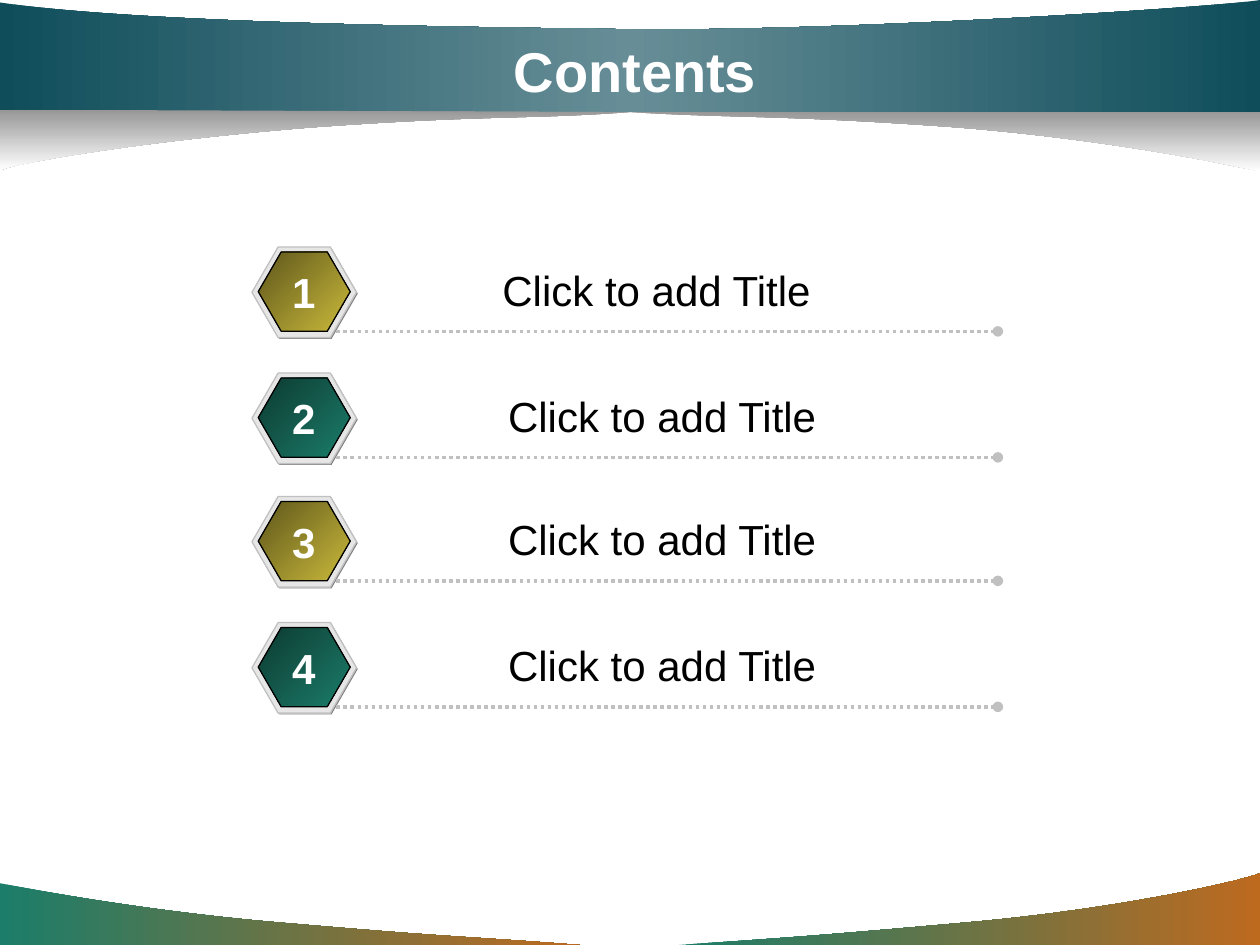
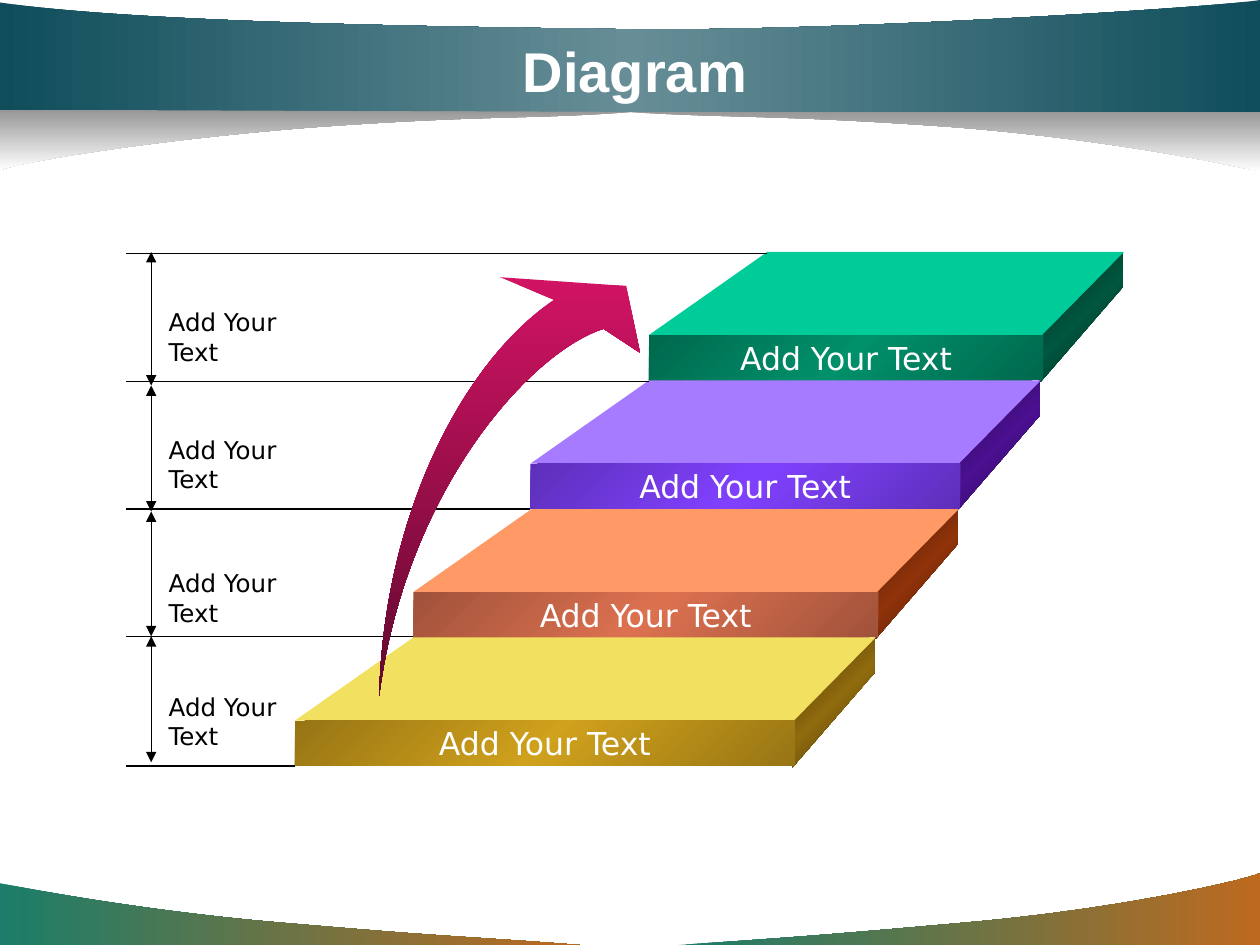
from pptx import Presentation
from pptx import util as u
from pptx.dml.color import RGBColor
from pptx.enum import dml, shapes, text
from pptx.oxml import ns
from lxml import etree


class Theme:
    # Colours: a tuple is a gradient with evenly spaced stops
    white, black = "FFFFFF", "000000"
    band = ("0F4D5B", "678E97", "0F4D5B")
    band_shadow = ("969696", "FFFFFF")
    footer = ("1B7D6A", "BD6A1F")
    badge_shadow, badge_rim, rule = "808080", "E6E6E6", "C0C0C0"
    badges = (("5E561B", "CBBA3B"), ("0D3A31", "1B7D6A"))
    arrow = ("D11364", "61092E")
    # Side edge, side middle, top, face edge, face middle
    steps = (
        ("00281D", "00563F", "00CC99", "00684D", "00906A"),
        ("230744", "4B1092", "A77BFF", "5D2FB9", "8041FF"),
        ("431805", "90330A", "FF9966", "A0523A", "DC7150"),
        ("433206", "906B0E", "F2E160", "977514", "D0A11C"),
    )
    # Type
    font, diagram_font = "Arial", "DejaVu Sans"
    title_size, item_size, step_size, label_size = 32, 24, 18, 14


def paint(sp, fill, angle=0, line=None):
    """Fill a shape with a colour or a gradient whose angle runs clockwise."""
    sp.shadow.inherit = False
    if isinstance(fill, str):
        sp.fill.solid()
        sp.fill.fore_color.rgb = RGBColor.from_string(fill)
    else:
        sp.fill.gradient()
        sp.fill.gradient_angle = (360 - angle) % 360
        stops = sp._element.spPr.find(".//" + ns.qn("a:gsLst"))
        for old in list(stops):
            stops.remove(old)
        for i, colour in enumerate(fill):
            position = str(100000 * i // (len(fill) - 1))
            stop = etree.SubElement(stops, ns.qn("a:gs"), pos=position)
            etree.SubElement(stop, ns.qn("a:srgbClr"), val=colour)
    if line:
        sp.line.color.rgb = RGBColor.from_string(line)
        sp.line.width = u.Pt(0.75)
    else:
        sp.line.fill.background()


def add_preset(s, kind, x, y, w, h, fill, angle=0, line=None):
    sp = s.shapes.add_shape(kind, *map(u.Inches, (x, y, w, h)))
    paint(sp, fill, angle, line)
    return sp


def add_outline(s, x, y, parts, fill, angle=0):
    """Draw a closed outline; a pair is a corner, six numbers are a Bezier curve."""
    points = [(u.Inches(x + part[i]), u.Inches(y + part[i + 1]))
              for part in parts for i in range(0, len(part), 2)]
    builder = s.shapes.build_freeform(*points[0])
    builder.add_line_segments(points[1:], close=True)
    sp = builder.convert_to_shape()
    # Merge the three segments of each curve into one Bezier segment
    segments = iter(sp._element.findall(".//" + ns.qn("a:lnTo")))
    for part in parts[1:]:
        first = next(segments)
        if len(part) == 6:
            curve = etree.Element(ns.qn("a:cubicBezTo"))
            first.addprevious(curve)
            for segment in (first, next(segments), next(segments)):
                curve.append(segment[0])
                segment.getparent().remove(segment)
    paint(sp, fill, angle)


def add_line(s, x1, y1, x2, y2, colour, width=0.75, dash=None, head=None, tail=None):
    c = s.shapes.add_connector(shapes.MSO_CONNECTOR.STRAIGHT,
                               *map(u.Inches, (x1, y1, x2, y2)))
    c.line.color.rgb = RGBColor.from_string(colour)
    c.line.width = u.Pt(width)
    if dash:
        c.line.dash_style = dash
    for tag, end in (("a:headEnd", head), ("a:tailEnd", tail)):
        if end:
            etree.SubElement(c.line._ln, ns.qn(tag), type=end)
    etree.SubElement(c._element.spPr, ns.qn("a:effectLst"))


def write(sp, words, size, colour, font=Theme.font, bold=False, wrap=True,
          align=text.PP_ALIGN.CENTER, anchor=text.MSO_ANCHOR.MIDDLE):
    tf = sp.text_frame
    tf.text = words
    tf.word_wrap = wrap
    tf.vertical_anchor = anchor
    p = tf.paragraphs[0]
    p.alignment = align
    r = p.runs[0]
    r.font.size, r.font.name, r.font.bold = u.Pt(size), font, bold
    r.font.color.rgb = RGBColor.from_string(colour)


def add_text(s, x, y, w, h, words, size, colour, **style):
    sp = s.shapes.add_textbox(*map(u.Inches, (x, y, w, h)))
    write(sp, words, size, colour, **style)


def add_band(s, x, y):
    # Band with a curved top edge, between two curved shadows
    add_outline(s, x + 5, y + 0.88, [
        (0, 0.01), (0.84, 0.06, 1.2, 0.03, 2.58, 0.13),
        (3.97, 0.24, 4.98, 0.48, 5, 0.48), (5, 0)], Theme.band_shadow, 90)
    add_outline(s, x, y, [
        (0, 0.89), (10, 0.89), (10, 0), (9.64, 0.06, 6.53, 0.26, 4.87, 0.23),
        (3.21, 0.21, 1.01, 0.17, 0, 0.02)], Theme.band)
    add_outline(s, x, y + 0.87, [
        (5, 0.02), (4.16, 0.08, 3.88, 0.04, 2.49, 0.14),
        (1.1, 0.25, 0.11, 0.43, 0, 0.48), (0, 0)], Theme.band_shadow, 90)


def add_footer(s, x, y):
    # Left and right swooshes
    add_outline(s, x, y, [
        (4.6, 0.6), (3.84, 0.54, 3.58, 0.54, 2.32, 0.43),
        (1.06, 0.33, 0.01, 0.11, 0, 0.11), (0, 0.6)], Theme.footer)
    add_outline(s, x + 5.39, y, [
        (0, 0.6), (0.75, 0.55, 1.07, 0.53, 2.3, 0.42),
        (3.53, 0.31, 4.51, 0.08, 4.61, 0.03), (4.61, 0.6)], Theme.footer)


def add_item(s, x, y, title_width, number, title):
    # Hexagon badge: shadow, rim and coloured centre
    hexagons = ((0.01, 0.01, 0.83, 0.72, Theme.badge_shadow, None),
                (0, 0, 0.83, 0.72, Theme.badge_rim, Theme.rule),
                (0.05, 0.04, 0.73, 0.63, Theme.badges[(number - 1) % 2], Theme.black))
    for dx, dy, w, h, fill, line in hexagons:
        sp = add_preset(s, shapes.MSO_SHAPE.HEXAGON, x + dx, y + dy, w, h, fill, 45, line)
        sp.adjustments[0] = 0.289
    # Dotted rule, title and number
    add_line(s, x + 0.67, y + 0.67, x + 5.92, y + 0.67, Theme.rule, 2,
             dml.MSO_LINE.ROUND_DOT, tail="oval")
    add_text(s, x + 0.92, y + 0.09, title_width, 0.5, title,
             Theme.item_size, Theme.black, anchor=text.MSO_ANCHOR.TOP)
    add_text(s, x + 0.22, y + 0.11, 0.38, 0.5, str(number), Theme.item_size,
             Theme.white, bold=True, wrap=False, anchor=text.MSO_ANCHOR.TOP)


def add_step(s, x, y, w, colours, words):
    """Draw one slab; x, y, w give its front face."""
    side_edge, side_mid, top, face_edge, face_mid = colours
    right = w - 0.02
    add_outline(s, x, y, [(right + 0.65, -0.38), (right, 0.37), (right, 0),
                          (right + 0.65, -0.66)], (side_edge, side_mid, side_edge), 45)
    add_outline(s, x, y, [(right + 0.01, 0), (0, 0), (0.94, -0.66),
                          (right + 0.66, -0.66)], top)
    face = add_preset(s, shapes.MSO_SHAPE.RECTANGLE, x, y, w, 0.36,
                      (face_edge, face_mid, face_edge), 45)
    write(face, words, Theme.step_size, Theme.white, Theme.diagram_font, wrap=False)


def add_scale(s, x, y, labels):
    # Level lines reach the slabs
    levels = ((5.09, 0.01), (4.15, 1.03), (3.21, 2.04), (2.28, 3.05), (1.34, 4.08))
    for length, level in levels:
        add_line(s, x + length, y + level, x, y + level, Theme.black)
    # Double arrows between levels, each with its label
    ends = (0, 1.06, 2.06, 3.05, 4.05)
    label_tops = (0.39, 1.4, 2.46, 3.44)
    for start, end, label_top, label in zip(ends, ends[1:], label_tops, labels):
        add_line(s, x + 0.2, y + start, x + 0.2, y + end, Theme.black,
                 head="triangle", tail="triangle")
        add_text(s, x + 0.24, y + label_top, 1.48, 0.34, label, Theme.label_size,
                 Theme.black, font=Theme.diagram_font,
                 align=text.PP_ALIGN.LEFT, anchor=text.MSO_ANCHOR.TOP)


def add_rising_arrow(s, x, y):
    add_outline(s, x, y, [
        (0, 3.32), (0.04, 1.85, 0.69, 0.65, 1.39, 0.18), (0.96, 0), (1.96, 0.07),
        (2.07, 0.6), (1.78, 0.41), (1.19, 0.6, 0.21, 1.7, 0, 3.32)], Theme.arrow, 90)


def move_to_master(prs, s):
    """Hand the shapes of a slide to the master, so every slide shows them."""
    for sp in list(s.shapes):
        prs.slide_master.shapes._spTree.append(sp._element)


def add_slide(prs, title):
    s = prs.slides.add_slide(prs.slide_layouts[6])
    if len(prs.slides) == 1:
        add_footer(s, 0, 6.9)
        add_band(s, 0, 0)
        move_to_master(prs, s)
    add_text(s, 0.75, 0.25, 8.58, 0.62, title, Theme.title_size, Theme.white, bold=True)
    return s


def build_contents(prs):
    s = add_slide(prs, "Contents")
    rows = ((1.96, 4.58), (2.96, 4.67), (3.94, 4.67), (4.94, 4.67))
    for number, (top, title_width) in enumerate(rows, 1):
        add_item(s, 2, top, title_width, number, "Click to add Title")


def build_diagram(prs):
    s = add_slide(prs, "Diagram")
    lefts = (5.15, 4.21, 3.28, 2.34)
    for i, (left, colours) in enumerate(zip(lefts, Theme.steps)):
        add_step(s, left, 2.66 + 1.02 * i, 3.13 + 0.28 * i, colours, "Add Your Text")
    add_scale(s, 1, 2, ["Add Your Text"] * len(Theme.steps))
    add_rising_arrow(s, 3.01, 2.2)


def main():
    prs = Presentation()
    prs.slide_width, prs.slide_height = u.Inches(10), u.Inches(7.5)
    build_contents(prs)
    build_diagram(prs)
    prs.save("out.pptx")


if __name__ == "__main__":
    main()
